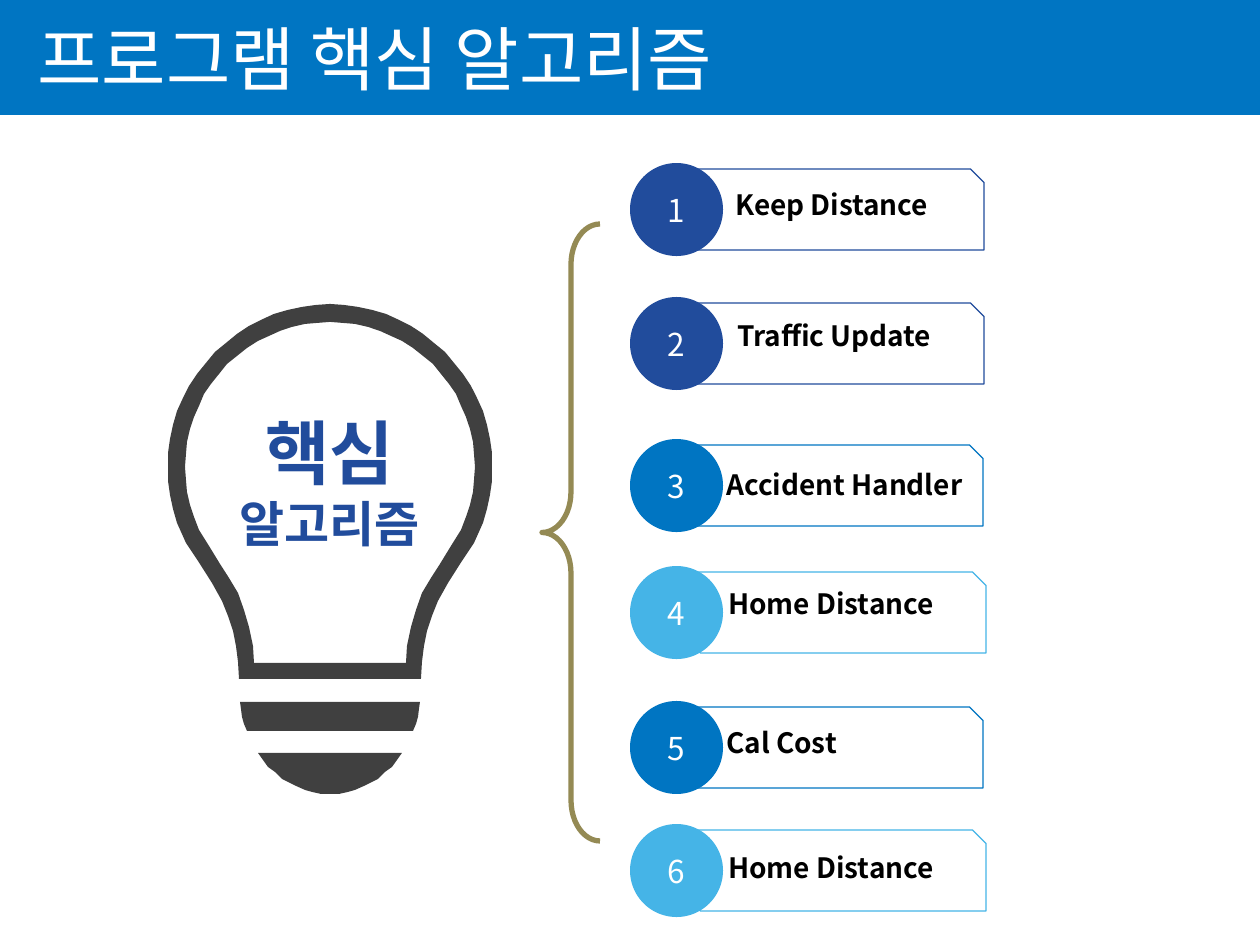
from math import cos, radians, sin

from lxml.etree import SubElement
from pptx import Presentation
from pptx.dml.color import RGBColor
from pptx.enum.shapes import MSO_SHAPE as Shape
from pptx.enum.text import MSO_ANCHOR as Anchor, MSO_AUTO_SIZE as AutoSize, PP_ALIGN as Align
from pptx.oxml.ns import qn
from pptx.util import Inches, Pt

PX = Inches(1) / 126
FONT = "Noto Sans CJK KR"
COLORS = {
    "blue": "0075C2", "navy": "214C9C", "sky": "45B4E7", "olive": "948A54",
    "gray": "404040", "white": "FFFFFF", "black": "000000",
}

TITLE = "프로그램 핵심 알고리즘"
BULB_TEXT = [("핵심", 40), ("알고리즘", 28)]
STEPS = [
    ("Keep Distance", "navy", 163, (723, 181, 324)),
    ("Traffic Update", "navy", 297, (725, 312, 287)),
    ("Accident Handler", "blue", 439, (714, 461, 546)),
    ("Home Distance", "sky", 566, (716, 580, 544)),
    ("Cal Cost", "blue", 701, (714, 719, 546)),
    ("Home Distance", "sky", 824, (716, 844, 544)),
]
BOX_LEFT = {"navy": 685, "blue": 684, "sky": 687}

BULB_X, BULB_Y = 330, 467
OUTER_NECK = [(144, 543), (132, 561), (118, 583), (108, 601), (102, 616),
              (97, 631), (94, 646), (92, 662), (91, 679)]
INNER_NECK = [(131, 530), (121, 546), (110, 564), (101, 578), (92, 593),
              (86, 610), (81, 627), (77, 646), (76, 663)]
BAND = [(90, 702), (89, 709), (88, 717), (86, 724), (83, 731)]
CAP = [(72, 753), (67, 760), (62, 767), (55, 772), (48, 779), (42, 782),
       (34, 786), (25, 790), (18, 792), (9, 794), (0, 794)]


def emu(*lengths):
    return [round(length * PX) for length in lengths]


def rgb(name):
    return RGBColor.from_string(COLORS[name])


def write(shape, lines, color, bold=False, align=Align.LEFT, anchor=Anchor.TOP):
    frame = shape.text_frame
    frame.word_wrap = True
    frame.vertical_anchor = anchor
    frame.text = "\n".join(text for text, size in lines)
    for para, (text, size) in zip(frame.paragraphs, lines):
        para.alignment = align
        font = para.runs[0].font
        font.size, font.bold, font.name = Pt(size), bold, FONT
        font.color.rgb = rgb(color)
        SubElement(para.runs[0].font._element, qn("a:ea"), typeface=FONT)
    return frame


def paint(shape, fill=None, line=None, width=0.75):
    shape.shadow.inherit = False
    for part, color in ((shape.fill, fill), (shape.line.fill, line)):
        if color:
            part.solid()
            part.fore_color.rgb = rgb(color)
        else:
            part.background()
    if line:
        shape.line.width = Pt(width)
    return shape


def add_shape(page, kind, place, **style):
    return paint(page.shapes.add_shape(kind, *emu(*place)), **style)


def add_text(page, place, lines, color, **style):
    box = page.shapes.add_textbox(*emu(*place))
    write(box, lines, color, **style).auto_size = AutoSize.SHAPE_TO_FIT_TEXT


def dome(radius):
    angles = [radians(degree) for degree in range(-90, 21, 5)]
    return [(radius * cos(angle), BULB_Y + radius * sin(angle)) for angle in angles]


def mirrored(half):
    right = [(BULB_X + x, y) for x, y in half]
    left = [(BULB_X - x, y) for x, y in reversed(half)]
    return right + left


def add_bulb(page):
    halves = [dome(162.5) + OUTER_NECK, dome(145) + INNER_NECK, BAND, CAP]
    outlines = [mirrored(half) for half in halves]
    builder = page.shapes.build_freeform(*outlines[0][0], scale=PX)
    builder.add_line_segments(outlines[0][1:])
    for outline in outlines[1:]:
        builder.move_to(*outline[0])
        builder.add_line_segments(outline[1:])
    paint(builder.convert_to_shape(), fill="gray")


def add_step(page, number, name, color, top, label):
    add_shape(page, Shape.SNIP_2_DIAG_RECTANGLE, (BOX_LEFT[color], top + 6, 299, 81),
              fill="white", line=color)
    circle = add_shape(page, Shape.OVAL, (630, top, 93, 93), fill=color)
    write(circle, [(str(number), 18)], "white", align=Align.CENTER, anchor=Anchor.MIDDLE)
    left, label_top, width = label
    add_text(page, (left, label_top, width, 47), [(name, 16)], "black", bold=True)


def main():
    deck = Presentation()
    deck.slide_width, deck.slide_height = emu(1260, 945)
    page = deck.slides.add_slide(deck.slide_layouts[5])

    title = page.shapes.title
    title.left, title.top, title.width, title.height = emu(25, 9, 780, 97)
    write(title, [(TITLE, 40)], "white").auto_size = AutoSize.SHAPE_TO_FIT_TEXT
    banner = add_shape(page, Shape.RECTANGLE, (0, 0, 1260, 115), fill="blue")
    title.element.addprevious(banner.element)

    add_bulb(page)
    add_text(page, (218, 403, 224, 158), BULB_TEXT, "navy", bold=True, align=Align.CENTER)
    brace = add_shape(page, Shape.LEFT_BRACE, (542, 224, 58, 617), line="olive", width=3)
    brace.adjustments[0], brace.adjustments[1] = 0.7, 0.5

    for number, step in enumerate(STEPS, 1):
        add_step(page, number, *step)
    deck.save("out.pptx")


if __name__ == "__main__":
    main()
